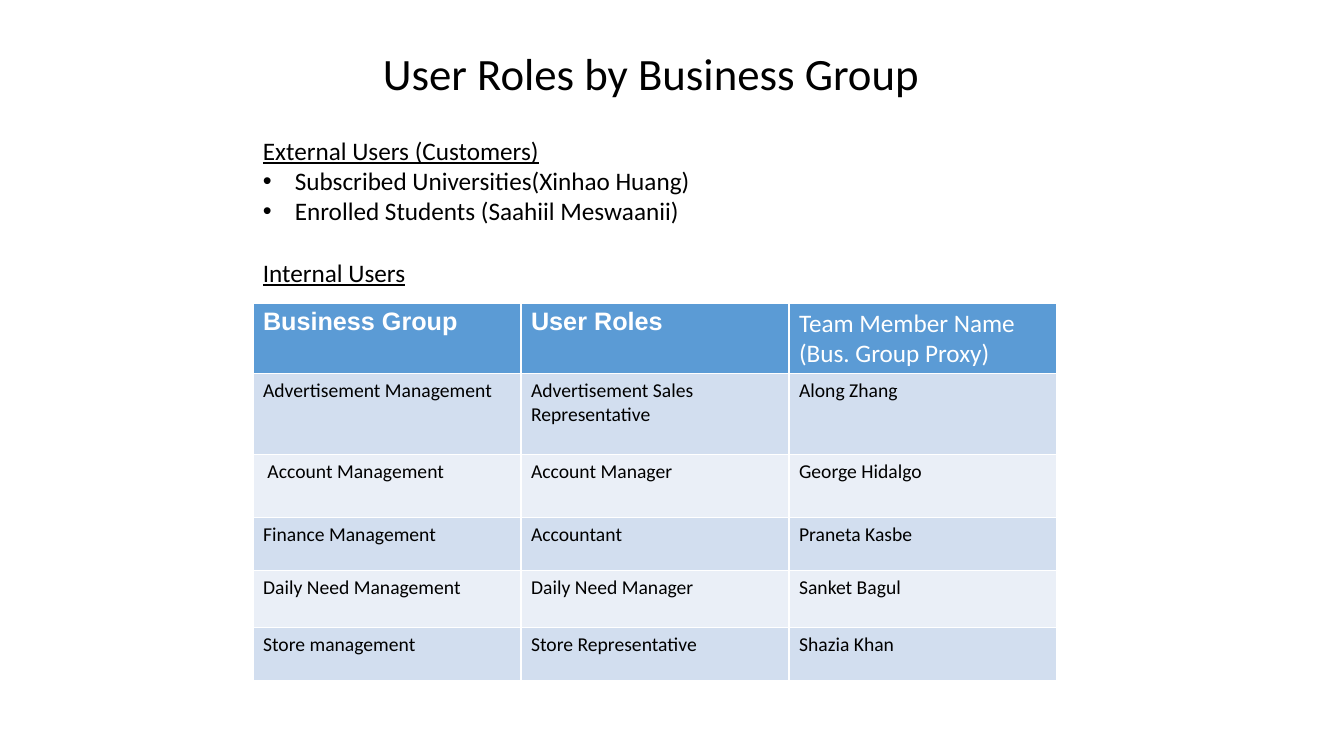
from lxml.etree import SubElement
from pptx import Presentation
from pptx.dml.color import RGBColor
from pptx.enum.text import MSO_AUTO_SIZE
from pptx.oxml.ns import qn
from pptx.util import Emu, Pt

PX = 914400 / 100.8


def px(length):
    return Emu(round(length * PX))


def write(paragraph, text, color="000000", **font_format):
    run = paragraph.add_run()
    run.text = text
    run.font.color.rgb = RGBColor.from_string(color)
    for attribute, value in ({"name": "Calibri", "size": Pt(18)} | font_format).items():
        setattr(run.font, attribute, value)


deck = Presentation()
deck.slide_width, deck.slide_height = px(1344), px(756)
slide = deck.slides.add_slide(deck.slide_layouts[6])

# Title and user lists: box, then lines as (text, bulleted, font format)
underlined = {"underline": True}
text_blocks = [
    ((373, 41, 561, 65), [("User Roles by Business Group", False, {"size": Pt(32)})]),
    ((253, 130, 452, 102), [
        ("External Users (Customers)", False, underlined),
        ("Subscribed Universities(Xinhao Huang)", True, {}),
        ("Enrolled Students (Saahiil Meswaanii)", True, {}),
    ]),
    ((253, 252, 164, 40), [("Internal Users", False, underlined)]),
]
for box, lines in text_blocks:
    frame = slide.shapes.add_textbox(*map(px, box)).text_frame
    frame.word_wrap = False
    frame.auto_size = MSO_AUTO_SIZE.SHAPE_TO_FIT_TEXT
    for index, (text, bulleted, font_format) in enumerate(lines):
        paragraph = frame.add_paragraph() if index else frame.paragraphs[0]
        write(paragraph, text, **font_format)
        if bulleted:
            properties = paragraph._p.get_or_add_pPr()
            properties.set("marL", str(px(32)))
            properties.set("indent", str(-px(32)))
            SubElement(properties, qn("a:buFont"), typeface="Arial")
            SubElement(properties, qn("a:buChar"), char="•")

# Internal users table
internal_users = [
    ("Business Group", "User Roles", "Team Member Name\n(Bus. Group Proxy)"),
    ("Advertisement Management", "Advertisement Sales Representative", "Along Zhang"),
    (" Account Management", "Account Manager", "George Hidalgo"),
    ("Finance Management", "Accountant", "Praneta Kasbe"),
    ("Daily Need Management", "Daily Need Manager", "Sanket Bagul"),
    ("Store management", "Store Representative", "Shazia Khan"),
]
row_heights = [70, 81, 63, 53, 57, 53]
column_width = 268
roles = slide.shapes.add_table(
    len(internal_users), 3, px(253), px(303), px(3 * column_width), px(sum(row_heights))
).table
for column in roles.columns:
    column.width = px(column_width)

for row_index, (entries, height) in enumerate(zip(internal_users, row_heights)):
    roles.rows[row_index].height = px(height)
    is_header = row_index == 0
    band = "5B9BD5" if is_header else ("EAEFF7", "D2DEEF")[row_index % 2]
    for column_index, entry in enumerate(entries):
        cell = roles.cell(row_index, column_index)
        if not is_header:
            cell_format = {"size": Pt(14), "bold": False}
        elif column_index < 2:
            cell_format = {"color": "FFFFFF", "name": "Arial", "bold": True}
        else:
            cell_format = {"color": "FFFFFF", "bold": False}
        for line_index, line in enumerate(entry.split("\n")):
            frame = cell.text_frame
            paragraph = frame.add_paragraph() if line_index else frame.paragraphs[0]
            write(paragraph, line, **cell_format)

        # White cell borders come before the fill in the cell properties
        cell_properties = cell._tc.get_or_add_tcPr()
        for side in ("lnL", "lnR", "lnT", "lnB"):
            border = SubElement(cell_properties, qn(f"a:{side}"), w=str(Pt(1)))
            SubElement(SubElement(border, qn("a:solidFill")), qn("a:srgbClr"), val="FFFFFF")
        cell.fill.solid()
        cell.fill.fore_color.rgb = RGBColor.from_string(band)

deck.save("out.pptx")
